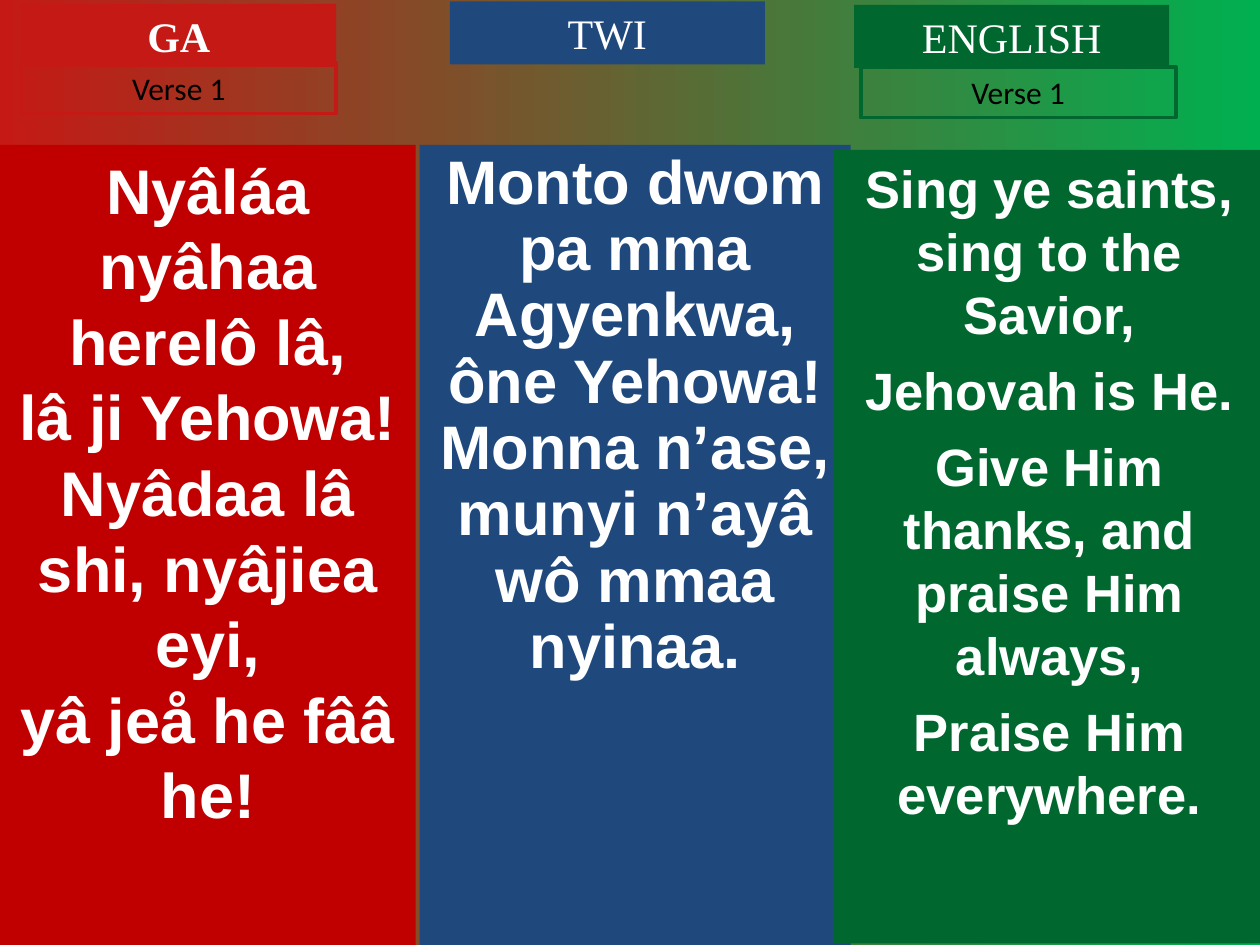
"""Build a hymn slide with one verse in Ga, Twi and English."""
from pptx import Presentation
from pptx.dml.color import RGBColor
from pptx.enum.shapes import MSO_SHAPE
from pptx.enum.text import MSO_ANCHOR, PP_ALIGN
from pptx.util import Cm, Pt

HUES = {"red": "C51915", "deep": "C00000", "blue": "1F497D", "green": "00682F",
        "lime": "00B050", "white": "FFFFFF", "black": "000000"}


def hue(name):
    return RGBColor.from_string(HUES[name])


def add_box(spot, lines, font, size, ink, fill=None, edge=None, bold=False, lead=1, gap=0):
    box = slide.shapes.add_shape(MSO_SHAPE.RECTANGLE, *[Cm(n) for n in spot])
    box.shadow.inherit = False
    if fill:
        box.fill.solid()
        box.fill.fore_color.rgb = hue(fill)
    else:
        box.fill.background()
    if edge:
        box.line.color.rgb = hue(edge)
        box.line.width = Pt(2.25)
    else:
        box.line.fill.background()
    frame = box.text_frame
    frame.text = "\n".join(lines)
    frame.word_wrap = True
    frame.vertical_anchor = MSO_ANCHOR.TOP
    for rank, para in enumerate(frame.paragraphs):
        para.alignment = PP_ALIGN.CENTER
        para.line_spacing = lead
        para.space_before = Pt(gap if rank else 0)
        for run in para.runs:
            run.font.name = font
            run.font.size = Pt(size)
            run.font.bold = bold
            run.font.color.rgb = hue(ink)


deck = Presentation()
deck.slide_width, deck.slide_height = Cm(25.4), Cm(19.05)
slide = deck.slides.add_slide(deck.slide_layouts[6])

back = slide.background.fill
back.gradient()
back.gradient_angle = 0
for stop, name, place in zip(back.gradient_stops, ("red", "lime"), (0, 1)):
    stop.color.rgb = hue(name)
    stop.position = place

verses = [
    ((0, 2.92, 8.38, 16.13), "deep", 36, 1, 0,
     ["Nyâláa nyâhaa herelô lâ,", "lâ ji Yehowa!",
      "Nyâdaa lâ shi, nyâjiea eyi,", "yâ jeå he fââ he!"]),
    ((8.46, 2.92, 8.69, 16.13), "blue", 35.1, 0.9, 0,
     ["Monto dwom pa mma Agyenkwa,", "ône Yehowa!",
      "Monna n’ase, munyi n’ayâ", "wô mmaa nyinaa."]),
    ((16.81, 3.02, 8.69, 16), "green", 30, 1, 7.5,
     ["Sing ye saints, sing to the Savior,", "Jehovah is He.",
      "Give Him thanks, and praise Him always,", "Praise Him everywhere."]),
]
for spot, fill, size, lead, gap, lines in verses:
    add_box(spot, lines, "Arial", size, "white", fill, bold=True, lead=lead, gap=gap)

heads = [("GA", 0.43, 0.08, "red", True),
         ("TWI", 9.07, 0.03, "blue", False),
         ("ENGLISH", 17.22, 0.1, "green", False)]
for word, left, top, fill, bold in heads:
    add_box((left, top, 6.35, 1.27), [word], "Times New Roman", 24, "white", fill, bold=bold)

for left, top, edge in ((0.43, 1.27, "red"), (17.35, 1.35, "green")):
    add_box((left, top, 6.35, 1.02), ["Verse 1"], "Calibri", 18, "black", edge=edge)

deck.save("out.pptx")
